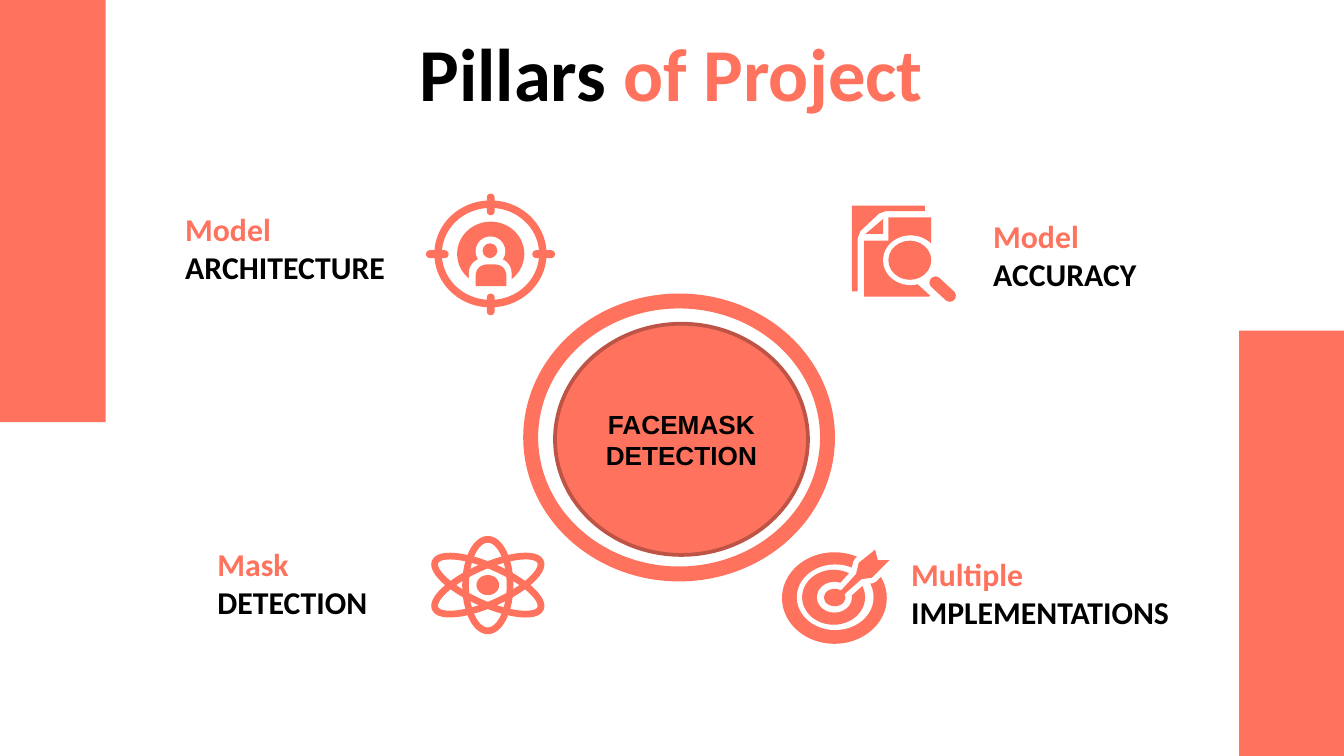
from lxml.etree import SubElement
from pptx import Presentation
from pptx.dml.color import RGBColor
from pptx.enum.shapes import MSO_CONNECTOR, MSO_SHAPE
from pptx.enum.text import MSO_ANCHOR, MSO_AUTO_SIZE, PP_ALIGN
from pptx.oxml.ns import qn
from pptx.util import Cm, Pt

CORAL, DARK_CORAL, WHITE, BLACK = "FF725E", "BD5446", "FFFFFF", "000000"
OVAL, RECT = MSO_SHAPE.OVAL, MSO_SHAPE.RECTANGLE
PILL, BUST = MSO_SHAPE.ROUNDED_RECTANGLE, MSO_SHAPE.ROUND_2_SAME_RECTANGLE

TITLE = [("Pillars ", BLACK), ("of Project", CORAL)]
LABELS = [
    ("Model\vARCHITECTURE", (3.25, 3.73, 5.31, 1.93)),
    ("Model\vACCURACY", (18.52, 3.86, 4.42, 1.93)),
    ("Multiple\vIMPLEMENTATIONS", (16.97, 10.72, 6.63, 1.45)),
    ("Mask\vDETECTION", (3.86, 10.06, 4.17, 1.93)),
]
SIDE_BARS = [(23.42, 6.25, 1.98, 8.04), (0, 0, 2, 7.98)]
HUB_RING = (10.03, 5.69, 5.61, 5.16)
HUB_DISC = (10.49, 6.12, 4.78, 4.37)

PERSON_RING = (8.28, 3.86, 1.98, 1.88)
PERSON_TICKS = [(9.2, 3.66, 0.15, 0.41), (9.2, 5.55, 0.15, 0.41),
                (8.05, 4.73, 0.43, 0.15), (10.06, 4.73, 0.43, 0.15)]
PERSON_PARTS = [
    (OVAL, (8.64, 4.19, 1.27, 1.22), CORAL),
    (BUST, (8.86, 4.88, 0.81, 0.57), WHITE),
    (OVAL, (8.99, 4.47, 0.56, 0.56), WHITE),
    (OVAL, (9.12, 4.6, 0.28, 0.28), CORAL),
    (BUST, (8.99, 5, 0.58, 0.41), CORAL),
]
PAGES = [
    [(16.1, 3.89), (17.48, 3.89), (17.48, 3.99), (16.74, 3.99), (16.61, 4.04),
     (16.26, 4.37), (16.21, 4.5), (16.21, 5.51), (16.1, 5.51)],
    [(16.69, 4.14), (16.36, 4.42), (16.69, 4.42)],
    [(16.79, 4.11), (17.6, 4.11), (17.6, 4.62), (17.2, 4.93), (17.35, 5.38),
     (17.58, 5.59), (17.55, 5.61), (16.33, 5.61), (16.33, 4.55), (16.79, 4.55)],
]
LENS = [((16.69, 4.45, 1.04, 0.94), WHITE), ((16.79, 4.55, 0.81, 0.74), CORAL)]
HANDLE = (17.68, 5.34, 17.95, 5.59)
TARGET_RINGS = [
    ((14.78, 10.44, 1.98, 1.73), CORAL),
    ((15.06, 10.67, 1.45, 1.24), WHITE),
    ((15.16, 10.77, 1.19, 1.04), CORAL),
    ((15.44, 11, 0.66, 0.58), WHITE),
]
BULLSEYE = (15.57, 11.13, 0.41, 0.33)
DART = [(15.77, 11.3), (16.18, 10.85), (16.23, 10.64), (16.54, 10.39), (16.59, 10.59),
        (16.81, 10.59), (16.48, 10.92), (16.28, 10.95), (15.85, 11.33)]
ATOM_CENTER = (9.22, 11.06)
ORBITS = [(0.84, 1.73, 0), (0.71, 2.18, 66), (0.71, 2.18, -66)]
NUCLEUS = (0.43, 0.38)


def rgb(value):
    return RGBColor.from_string(value)


def paint(sp, fill=None, line=None, width=1):
    sp.shadow.inherit = False
    if fill:
        sp.fill.solid()
        sp.fill.fore_color.rgb = rgb(fill)
    else:
        sp.fill.background()
    if line:
        sp.line.color.rgb = rgb(line)
        sp.line.width = Pt(width)
    else:
        sp.line.fill.background()
    return sp


def add(shapes, kind, box, fill=None, line=None, width=1):
    return paint(shapes.add_shape(kind, *map(Cm, box)), fill, line, width)


def polygon(shapes, points, fill, line=None, width=1):
    points = [(Cm(x), Cm(y)) for x, y in points]
    builder = shapes.build_freeform(*points[0])
    builder.add_line_segments(points[1:], close=True)
    return paint(builder.convert_to_shape(), fill, line, width)


def centered(center, w, h):
    return center[0] - w / 2, center[1] - h / 2, w, h


def style(r, font, size, color):
    r.font.name, r.font.size, r.font.bold = font, Pt(size), True
    r.font.color.rgb = rgb(color)


def frame(sp, anchor, margin=0.25):
    tf = sp.text_frame
    tf.word_wrap = True
    tf.auto_size = MSO_AUTO_SIZE.NONE
    tf.vertical_anchor = anchor
    tf.margin_left = tf.margin_right = tf.margin_top = tf.margin_bottom = Cm(margin)
    return tf


def person_icon(g):
    add(g, OVAL, PERSON_RING, line=CORAL, width=4)
    for box in PERSON_TICKS:
        add(g, PILL, box, CORAL).adjustments[0] = 0.5
    for kind, box, color in PERSON_PARTS:
        sp = add(g, kind, box, color)
        if kind == BUST:
            sp.adjustments[0] = 0.5


def search_icon(g):
    for points in PAGES:
        polygon(g, points, CORAL)
    for box, color in LENS:
        add(g, OVAL, box, color)
    handle = g.add_connector(MSO_CONNECTOR.STRAIGHT, *map(Cm, HANDLE))
    handle.line.color.rgb = rgb(CORAL)
    handle.line.width = Pt(6.5)
    handle.line._get_or_add_ln().set("cap", "rnd")
    SubElement(handle._element.spPr, qn("a:effectLst"))


def target_icon(g):
    for box, color in TARGET_RINGS:
        add(g, OVAL, box, color)
    polygon(g, DART, WHITE, WHITE, 6)
    add(g, OVAL, BULLSEYE, CORAL)
    polygon(g, DART, CORAL)


def atom_icon(g):
    for w, h, angle in ORBITS:
        add(g, OVAL, centered(ATOM_CENTER, w, h), line=CORAL, width=3.6).rotation = angle
    add(g, OVAL, centered(ATOM_CENTER, *NUCLEUS), CORAL)


def main():
    prs = Presentation()
    prs.slide_width, prs.slide_height = Cm(25.4), Cm(14.29)
    s = prs.slides.add_slide(prs.slide_layouts[5])

    title = s.shapes.title
    title.left, title.top, title.width, title.height = map(Cm, (1.65, 0.61, 22.07, 1.5))
    p = frame(title, MSO_ANCHOR.MIDDLE).paragraphs[0]
    p.alignment = PP_ALIGN.CENTER
    for text, color in TITLE:
        r = p.add_run()
        r.text = text
        style(r, "Calibri", 40, color)

    for text, box in LABELS:
        tf = frame(s.shapes.add_textbox(*map(Cm, box)), MSO_ANCHOR.BOTTOM)
        tf.text = text
        for r, color in zip(tf.paragraphs[0].runs, (CORAL, BLACK)):
            style(r, "Calibri", 17, color)

    for draw in (person_icon, search_icon, target_icon, atom_icon):
        draw(s.shapes.add_group_shape().shapes)

    for box in SIDE_BARS:
        add(s.shapes, RECT, box, CORAL)

    add(s.shapes, OVAL, HUB_RING, WHITE, CORAL, 8)
    hub = add(s.shapes, OVAL, HUB_DISC, CORAL, DARK_CORAL, 2)
    tf = frame(hub, MSO_ANCHOR.MIDDLE, 0)
    tf.text = "FACEMASK DETECTION"
    tf.paragraphs[0].alignment = PP_ALIGN.CENTER
    style(tf.paragraphs[0].runs[0], "Arial", 14, BLACK)

    prs.save("out.pptx")


if __name__ == "__main__":
    main()
